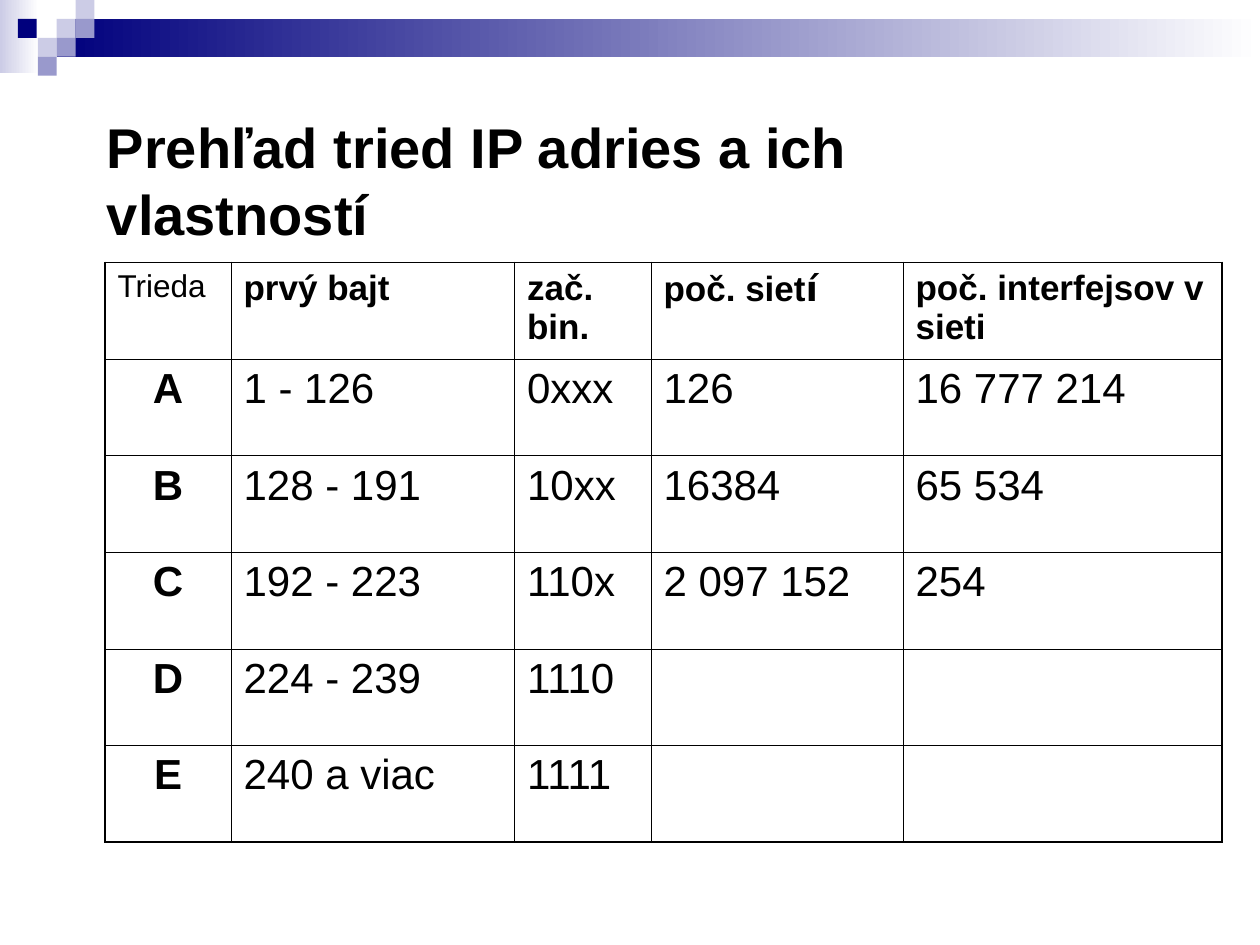
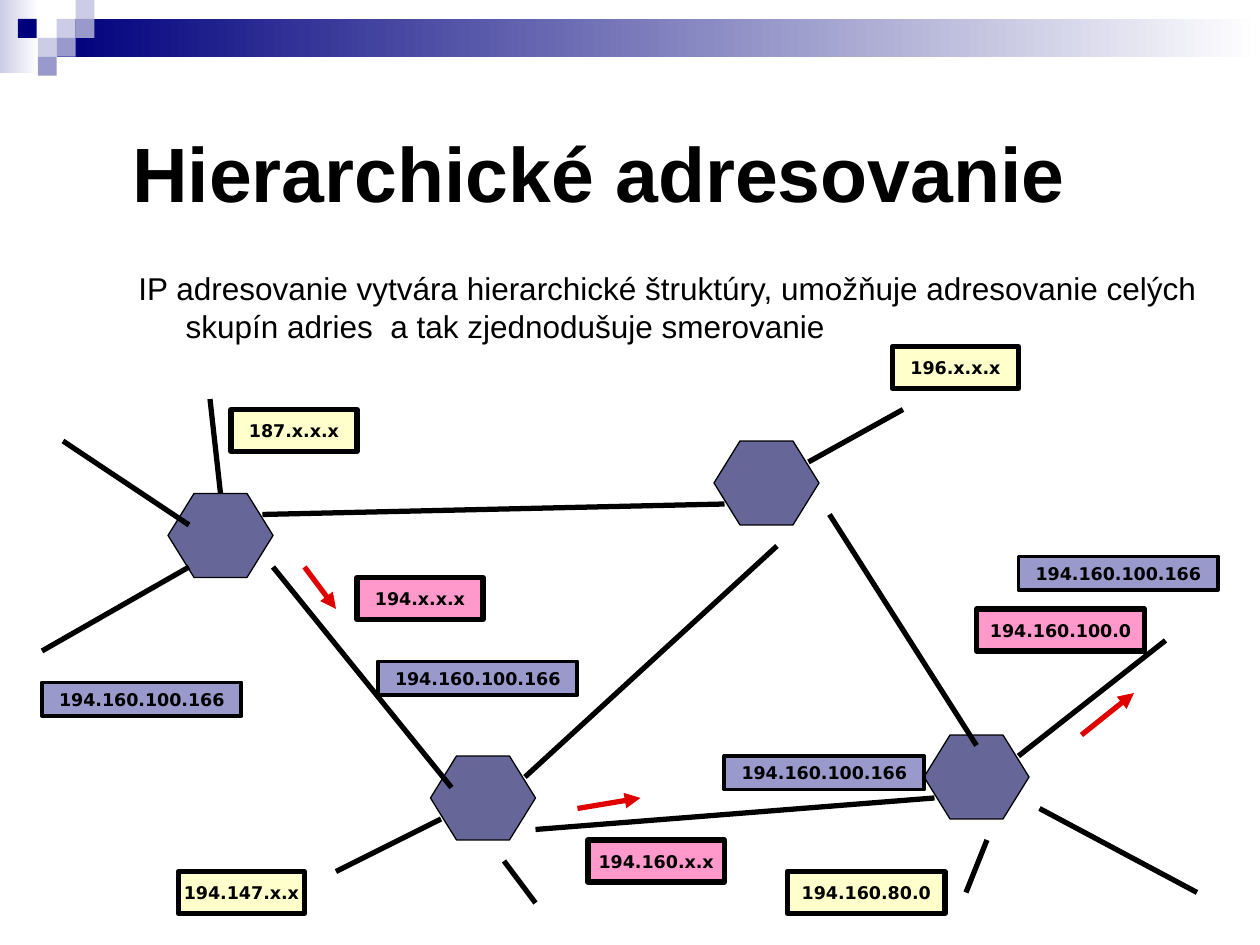
from dataclasses import dataclass

from lxml.etree import SubElement
from pptx import Presentation
from pptx.dml.color import RGBColor as Rgb
from pptx.enum.shapes import MSO_CONNECTOR as Connector, MSO_SHAPE as Shape
from pptx.enum.text import MSO_ANCHOR as Anchor, PP_ALIGN as Align
from pptx.oxml.ns import qn
from pptx.util import Pt


@dataclass(frozen=True)
class Theme:
    black: str = "000000"
    white: str = "FFFFFF"
    navy: str = "00007D"
    mid: str = "9999CC"
    light: str = "CCCCE6"
    router: str = "666699"
    route: str = "FF99CC"
    network: str = "FFFFCC"
    arrow: str = "E00000"
    font: str = "Arial"
    label_font: str = "DejaVu Sans"
    title_small: int = 32
    title_large: int = 44
    body: int = 18
    header: int = 20
    cell: int = 24
    label: int = 10


THEME = Theme()
PX = 7620  # 120 px to the inch
SQUARE = 18


def write(frame, text, size, bold=False, align=Align.LEFT, font=THEME.font):
    frame.text = text
    para = frame.paragraphs[0]
    para.alignment = align
    para.font.name = font
    para.font.size = Pt(size)
    para.font.bold = bold
    para.font.color.rgb = Rgb.from_string(THEME.black)
    return para


def add_block(page, kind, left, top, width, height, fill, line_width=0):
    block = page.shapes.add_shape(kind, left * PX, top * PX, width * PX, height * PX)
    block.shadow.inherit = False
    if isinstance(fill, tuple):
        block.fill.gradient()
        block.fill.gradient_angle = 0
        for stop, color in zip(block.fill.gradient_stops, fill):
            stop.color.rgb = Rgb.from_string(color)
    else:
        block.fill.solid()
        block.fill.fore_color.rgb = Rgb.from_string(fill)
    if line_width:
        block.line.color.rgb = Rgb.from_string(THEME.black)
        block.line.width = Pt(line_width)
    else:
        block.line.fill.background()
    return block


deck = Presentation()
deck.slide_width, deck.slide_height = 1200 * PX, 900 * PX

# Both slides: top band, mosaic squares and title
band_parts = [
    (0, 0, 37, 70, (THEME.light, THEME.white)),
    (54, 18, 1146, 36, (THEME.navy, THEME.white)),
]
mosaic = [
    (54, 18, THEME.light), (72, 0, THEME.light), (72, 18, THEME.mid),
    (36, 36, THEME.light), (17, 18, THEME.navy), (54, 36, THEME.mid),
    (36, 54, THEME.mid),
]
titles = [
    ("Prehľad tried IP adries a ich\vvlastností", 90, 101, 140, THEME.title_small),
    ("Hierarchické adresovanie", 114, 113, 100, THEME.title_large),
]
pages = []
for text, left, top, height, size in titles:
    page = deck.slides.add_slide(deck.slide_layouts[6])
    for part in band_parts:
        add_block(page, Shape.RECTANGLE, *part)
    for x, y, color in mosaic:
        add_block(page, Shape.RECTANGLE, x, y, SQUARE, SQUARE, color)
    box = page.shapes.add_textbox(left * PX, top * PX, 1072 * PX, height * PX)
    box.text_frame.word_wrap = True
    box.text_frame.vertical_anchor = Anchor.BOTTOM
    write(box.text_frame, text, size, bold=True)
    pages.append(page)
classes_page, routing_page = pages

# Slide 1: table of address classes
class_rows = [
    ("Trieda", "prvý bajt", "zač. bin.", "poč. siet", "poč. interfejsov v sieti"),
    ("A", "1 - 126", "0xxx", "126", "16 777 214"),
    ("B", "128 - 191", "10xx", "16384", "65 534"),
    ("C", "192 - 223", "110x", "2 097 152", "254"),
    ("D", "224 - 239", "1110", "", ""),
    ("E", "240 a viac", "1111", "", ""),
]
column_widths = [120, 270, 130, 240, 304]
row_height = 92
last_row, last_column = len(class_rows) - 1, len(column_widths) - 1
table = classes_page.shapes.add_table(
    len(class_rows), len(column_widths), 100 * PX, 250 * PX,
    sum(column_widths) * PX, row_height * len(class_rows) * PX).table
table.first_row = table.horz_banding = False
for column, width in zip(table.columns, column_widths):
    column.width = width * PX
for r, values in enumerate(class_rows):
    table.rows[r].height = row_height * PX
    for c, value in enumerate(values):
        cell = table.cell(r, c)
        is_header, is_class = r == 0, c == 0
        if is_header and is_class:
            size = THEME.body
        else:
            size = THEME.header if is_header else THEME.cell
        align = Align.CENTER if is_class and not is_header else Align.LEFT
        write(cell.text_frame, value, size, is_header != is_class, align)
        # Thicker lines around the outside
        outer_sides = {"lnL": c == 0, "lnR": c == last_column,
                       "lnT": r == 0, "lnB": r == last_row}
        properties = cell._tc.get_or_add_tcPr()
        for side, is_outer in outer_sides.items():
            border = SubElement(properties, qn(f"a:{side}"),
                                w=str(Pt(1.08 if is_outer else 0.45)))
            fill = SubElement(border, qn("a:solidFill"))
            SubElement(fill, qn("a:srgbClr"), val=THEME.black)
        cell.fill.background()
span = table.cell(0, 3).text_frame.paragraphs[0].add_run()
span.text = "í"
span.font.name = THEME.label_font

# Slide 2: introduction with a hanging indent
box = routing_page.shapes.add_textbox(120 * PX, 250 * PX, 1064 * PX, 100 * PX)
box.text_frame.word_wrap = True
para = write(box.text_frame,
             "IP adresovanie vytvára hierarchické štruktúry, umožňuje adresovanie "
             "celých skupín adries  a tak zjednodušuje smerovanie", THEME.body)
indent = para._p.get_or_add_pPr()
indent.set("marL", str(45 * PX))
indent.set("indent", str(-45 * PX))

# Routers
for x, y in [(160, 470), (410, 720), (880, 700), (680, 420)]:
    router = add_block(routing_page, Shape.HEXAGON, x, y, 100, 80, THEME.router, 0.75)
    router.adjustments[0] = 0.31

# Links between routers, then arrows along the route
links = [
    (60, 420, 180, 500), (40, 620, 180, 540), (250, 490, 690, 480),
    (260, 540, 430, 750), (510, 790, 890, 760), (420, 780, 320, 830),
    (480, 820, 510, 860), (210, 470, 200, 380), (500, 740, 740, 520),
    (790, 490, 930, 710), (770, 440, 860, 390), (970, 720, 1110, 610),
    (990, 770, 1140, 850), (940, 800, 920, 850),
]
arrows = [(1030, 700, 1080, 660), (550, 770, 610, 760), (290, 540, 320, 580)]
for ends in links + arrows:
    link = routing_page.shapes.add_connector(
        Connector.STRAIGHT, *(value * PX for value in ends))
    is_arrow = ends in arrows
    link.line.color.rgb = Rgb.from_string(THEME.arrow if is_arrow else THEME.black)
    link.line.width = Pt(3)
    if is_arrow:
        SubElement(link.line._get_or_add_ln(), qn("a:tailEnd"), type="triangle")
    SubElement(link._element.spPr, qn("a:effectLst"))

# Address labels
host = "194.160.100.166"
labels = [
    ("194.160.100.0", 930, 580, 160, THEME.route),
    ("194.x.x.x", 340, 550, 120, THEME.route),
    ("194.160.x.x", 560, 800, 130, THEME.route),
    ("187.x.x.x", 220, 390, 120, THEME.network),
    ("194.160.80.0", 750, 830, 150, THEME.network),
    ("194.147.x.x", 170, 830, 120, THEME.network),
    ("196.x.x.x", 850, 330, 120, THEME.network),
    (host, 40, 650, 190, THEME.mid),
    (host, 360, 630, 190, THEME.mid),
    (host, 690, 720, 190, THEME.mid),
    (host, 970, 530, 190, THEME.mid),
]
for text, x, y, width, color in labels:
    height, line_width = (32, 2.25) if text == host else (40, 3)
    label = add_block(routing_page, Shape.RECTANGLE, x, y, width, height, color, line_width)
    label.text_frame.word_wrap = False
    label.text_frame.vertical_anchor = Anchor.MIDDLE
    write(label.text_frame, text, THEME.label, True, Align.CENTER, THEME.label_font)

deck.save("out.pptx")
